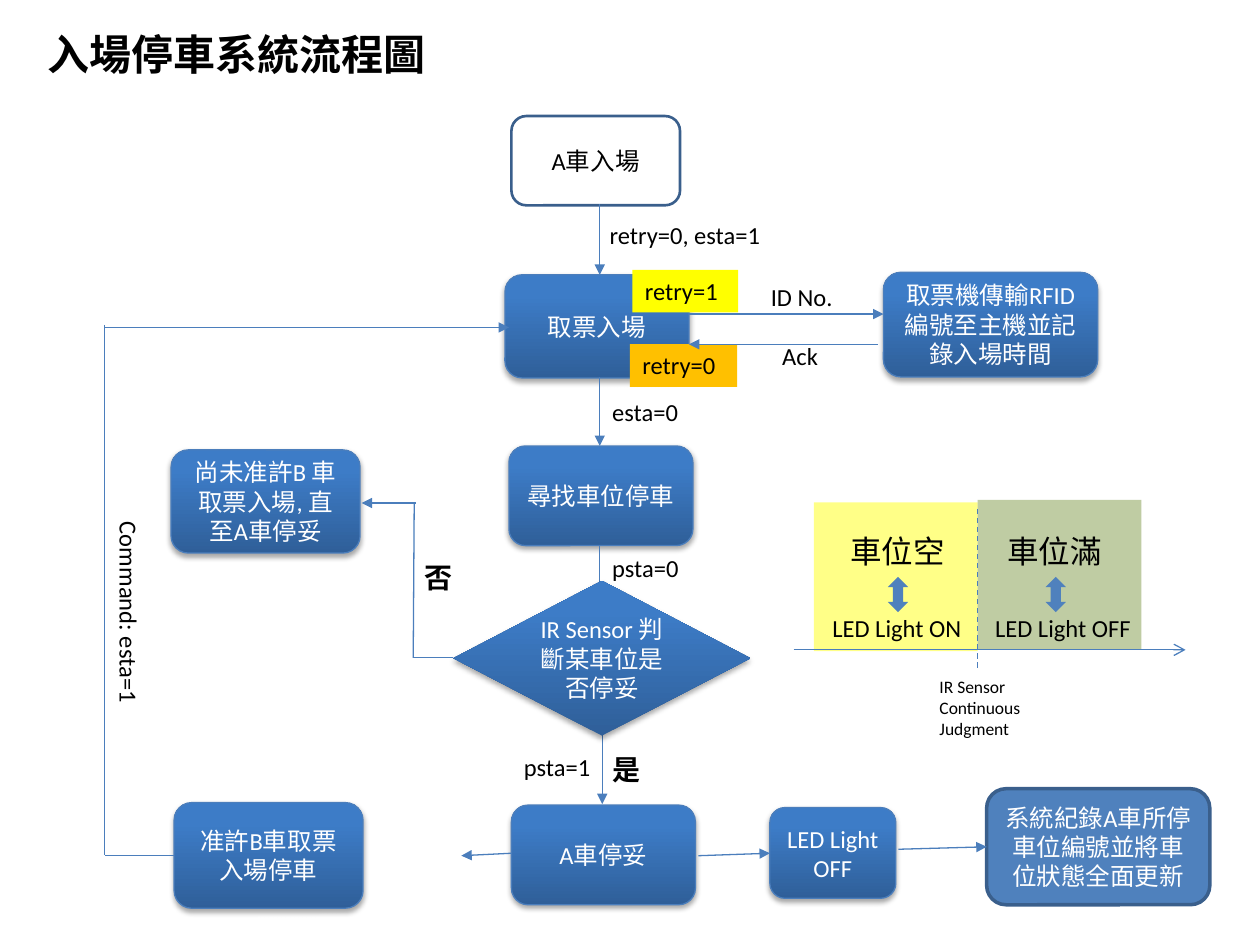
from dataclasses import dataclass

from lxml import etree
from pptx import Presentation
from pptx.dml.color import RGBColor
from pptx.enum import dml, shapes, text
from pptx.oxml import ns
from pptx.util import Cm, Pt

COLORS = {
    "black": "000000", "white": "FFFFFF", "link": "4B7EBC", "outline": "3A5F8C",
    "solid": "4F81BD", "dark": "2F5F99", "light": "3D7CC7",
    "yellow": "FFFF00", "orange": "FFC000", "green": "77933C",
}
LATIN, CJK = "Calibri", "Noto Sans CJK SC"
ROUND = shapes.MSO_SHAPE.ROUNDED_RECTANGLE
RECT = shapes.MSO_SHAPE.RECTANGLE
LABEL_HEIGHT = 0.86


def rgb(name):
    return RGBColor.from_string(COLORS[name])


def add_xml(parent, tag, **attributes):
    return etree.SubElement(parent, ns.qn(tag), attributes)


def write(frame, words, size, color="black", bold=False, font=LATIN, align=None):
    frame.word_wrap = True
    para = frame.paragraphs[0]
    para.alignment = align
    span = para.add_run()
    span.text = words
    span.font.name, span.font.size, span.font.bold = font, Pt(size), bold
    span.font.color.rgb = rgb(color)
    add_xml(span.font._element, "a:ea", typeface=CJK)


@dataclass
class Region:
    """An area of the page; parts are placed in cm from its top left corner."""
    page: object
    left: float
    top: float

    def place(self, x, y):
        return Cm(self.left + x), Cm(self.top + y)

    def block(self, kind, x, y, width, height, fill=None, line=None, weight=0.75, alpha=None):
        box = self.page.shapes.add_shape(kind, *self.place(x, y), Cm(width), Cm(height))
        box.shadow.inherit = False
        if fill:
            box.fill.solid()
            box.fill.fore_color.rgb = rgb(fill)
        else:
            box.fill.background()
        if alpha:
            color = box._element.spPr.find(".//" + ns.qn("a:srgbClr"))
            add_xml(color, "a:alpha", val=str(alpha * 1000))
        if line:
            box.line.color.rgb = rgb(line)
            box.line.width = Pt(weight)
        else:
            box.line.fill.background()
        return box

    def step(self, words, x, y, width, height, kind=ROUND, line="link"):
        """A flow step with a vertical gradient and a soft shadow."""
        box = self.block(kind, x, y, width, height, line=line)
        box.fill.gradient()
        box.fill.gradient_angle = 90
        for stop, color, position in zip(box.fill.gradient_stops, ("dark", "light"), (0, 0.8)):
            stop.color.rgb, stop.position = rgb(color), position
        effects = box._element.spPr.find(ns.qn("a:effectLst"))
        shadow = add_xml(effects, "a:outerShdw", blurRad=str(Pt(3.1)), dist=str(Pt(1.8)),
                         dir="5400000", rotWithShape="0")
        add_xml(add_xml(shadow, "a:srgbClr", val=COLORS["black"]), "a:alpha", val="35000")
        self.center(box, words, "white")

    def center(self, box, words, color):
        box.text_frame.vertical_anchor = text.MSO_ANCHOR.MIDDLE
        write(box.text_frame, words, 14, color, align=text.PP_ALIGN.CENTER)

    def tag(self, words, x, y, width, fill):
        box = self.block(RECT, x, y, width, LABEL_HEIGHT, fill)
        box.text_frame.vertical_anchor = text.MSO_ANCHOR.TOP
        write(box.text_frame, words, 14, align=text.PP_ALIGN.LEFT)

    def label(self, words, x, y, width, size=14, height=LABEL_HEIGHT, **style):
        box = self.page.shapes.add_textbox(*self.place(x, y), Cm(width), Cm(height))
        write(box.text_frame, words, size, **style)
        return box

    def link(self, start, end, arrow="triangle", dash=None):
        line = self.page.shapes.add_connector(
            shapes.MSO_CONNECTOR.STRAIGHT, *self.place(*start), *self.place(*end))
        line.line.color.rgb = rgb("link")
        line.line.width = Pt(0.75)
        if dash:
            line.line.dash_style = dash
        if arrow:
            add_xml(line.line._get_or_add_ln(), "a:tailEnd", type=arrow)
        add_xml(line._element.spPr, "a:effectLst")


def add_title(page, words):
    title = page.shapes.title
    title.left, title.top, title.width, title.height = Cm(0.71), Cm(-0.48), Cm(21.59), Cm(3.12)
    title.text_frame.vertical_anchor = text.MSO_ANCHOR.MIDDLE
    write(title.text_frame, words, 24, bold=True, font=CJK, align=text.PP_ALIGN.LEFT)


def add_main_flow(region):
    start = region.block(ROUND, 1.17, 0, 3.4, 1.8, line="outline", weight=1.5)
    region.center(start, "A車入場", "black")
    region.step("取票入場", 1.04, 3.2, 3.71, 2.08)
    region.step("尋找車位停車", 1.12, 6.65, 3.71, 2.01)
    region.step("A車停妥", 1.17, 13.89, 3.71, 2.01)
    for x, top, bottom in ((2.95, 1.78, 3.2), (2.95, 5.26, 6.65),
                           (2.95, 8.66, 10.06), (3, 12.47, 13.87)):
        region.link((x, top), (x, bottom))
    region.step("IR Sensor 判斷某車位是否停妥", 0, 9.37, 5.99, 3.12,
                shapes.MSO_SHAPE.FLOWCHART_DECISION, line=None)
    for words, x, y, width in (("retry=0, esta=1", 2.9, 1.98, 5.66), ("esta=0", 2.95, 5.54, 2),
                               ("psta=0", 2.95, 8.69, 2), ("psta=1", 1.17, 12.7, 2.41)):
        region.label(words, x, y, width)
    region.label("是", 2.95, 12.7, 2, 16, bold=True, font=CJK)


def add_waiting_branch(region):
    region.step("尚未准許B 車取票入場, 直至A車停妥", 0, 0, 3.81, 2.08)
    region.link((5.69, 4.19), (4.9, 4.19), arrow=None)
    region.link((4.9, 1.07), (4.88, 4.19), arrow=None)
    region.link((4.93, 1.07), (3.84, 1.07))
    region.label("否", 4.85, 2.11, 2, 16, bold=True, font=CJK)


def add_return_loop(region):
    region.step("准許B車取票入場停車", 1.4, 9.63, 3.81, 2.13)
    region.link((1.4, 10.69), (0, 10.69), arrow=None)
    region.link((0, 0), (0, 10.69), arrow=None)
    region.link((0, 0.05), (8.15, 0.05))
    region.label("Command: esta=1", -2.34, 6.12, 5.66).rotation = 90


def add_host_exchange(region):
    region.step("取票機傳輸RFID 編號至主機並記錄入場時間", 5.11, 0.05, 4.32, 2.11)
    region.link((1.19, 0.89), (5.11, 0.89))
    region.tag("retry=1", 0.05, 0, 2.13, "yellow")
    region.tag("retry=0", 0, 1.5, 2.16, "orange")
    region.label("ID No.", 2.59, 0.13, 1.78)
    region.label("Ack", 2.82, 1.32, 1.37)
    region.link((5, 1.5), (1.19, 1.5))


def add_completion_row(region):
    region.step("LED Light OFF", 6.22, 0.38, 2.54, 1.83)
    record = region.block(ROUND, 10.59, 0, 4.5, 2.34, "solid", "outline", 2)
    region.center(record, "系統紀錄A車所停車位編號並將車位狀態全面更新", "white")
    region.link((1.02, 1.3), (0, 1.35))
    region.link((4.78, 1.35), (6.22, 1.3))
    region.link((8.81, 1.22), (10.59, 1.17))


def add_light_timeline(region):
    panels = (  # panel, colour, state, light, then lefts of state, light and arrow
        (0.41, 0.05, "yellow", "車位空", "LED Light ON", 0.89, 0.53, 1.9),
        (3.71, 0, "green", "車位滿", "LED Light OFF", 4.06, 3.81, 5.08),
    )
    for x, y, color, state, light, state_x, light_x, arrow_x in panels:
        region.block(RECT, x, y, 3.3, 3, color, alpha=47)
        region.label(state, state_x, 0.53, 2.8, 18, 1.02)
        region.label(light, light_x, 2.16, 3.5)
        region.block(shapes.MSO_SHAPE.UP_DOWN_ARROW, arrow_x, 1.55, 0.41, 0.71, "solid")
    # Time axis and the moment of judgment
    region.link((0, 3.02), (7.9, 3.02), arrow="arrow")
    region.link((3.71, 0.18), (3.71, 3.43), arrow=None, dash=dml.MSO_LINE.DASH)
    region.label("IR Sensor Continuous Judgment", 2.69, 3.43, 3.4, 10, 1.55)


def main():
    deck = Presentation()
    deck.slide_width, deck.slide_height = Cm(25.4), Cm(19.05)
    page = deck.slides.add_slide(deck.slide_layouts[5])
    add_title(page, "入場停車系統流程圖")
    add_light_timeline(Region(page, 16, 10.08))
    add_main_flow(Region(page, 9.14, 2.34))
    add_waiting_branch(Region(page, 3.45, 9.07))
    add_return_loop(Region(page, 2.11, 6.55))
    add_host_exchange(Region(page, 12.7, 5.44))
    add_completion_row(Region(page, 9.3, 15.9))
    deck.save("out.pptx")


if __name__ == "__main__":
    main()
